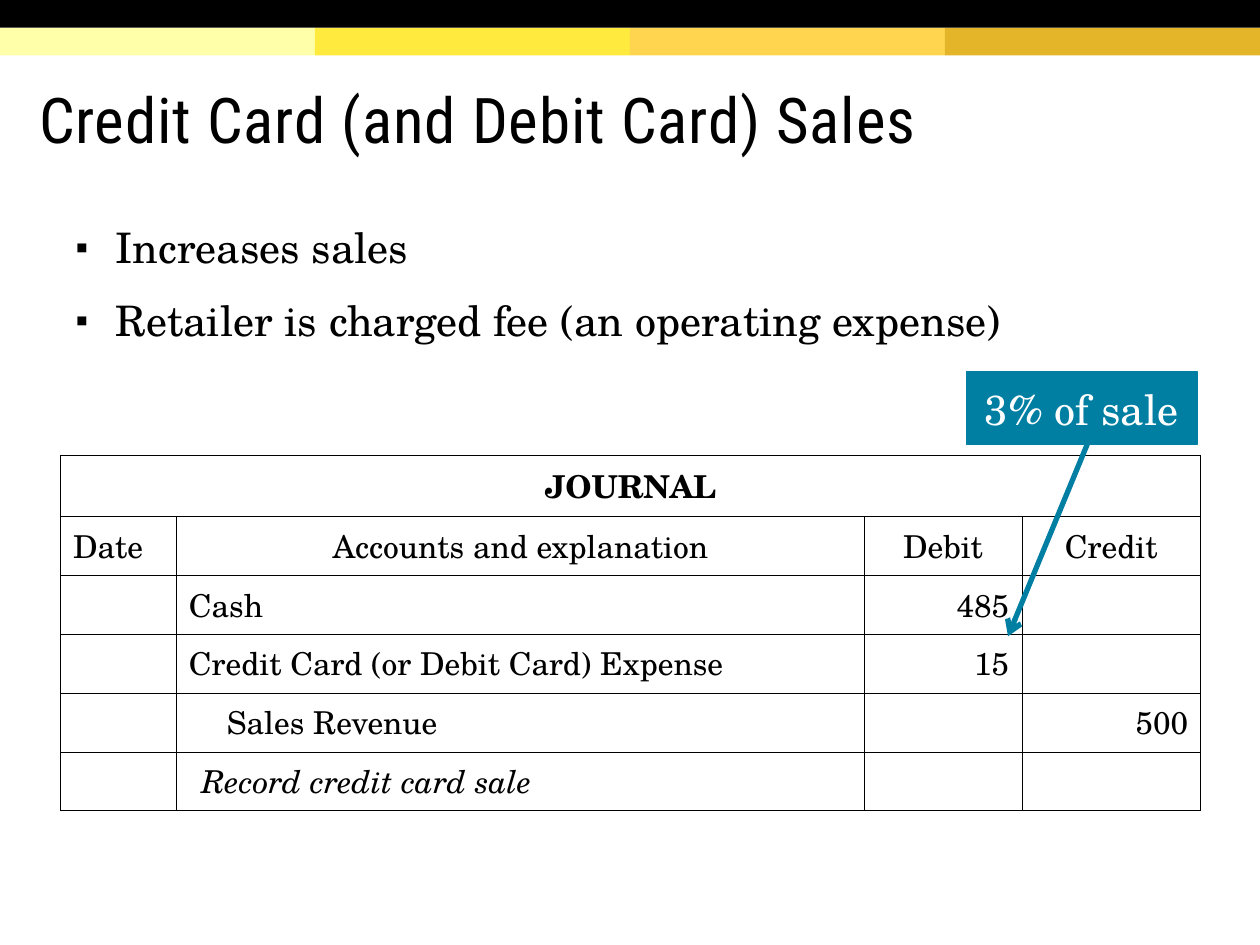
import pptx
import pptx.dml.color
import pptx.enum.shapes
import pptx.enum.text
import pptx.oxml
import pptx.oxml.ns
import pptx.util
from pptx.util import Inches, Pt

TITLE = "Credit Card (and Debit Card) Sales"
POINTS = ["Increases sales", "Retailer is charged fee (an operating expense)"]
CALLOUT = "3% of sale"
BAND_COLORS = ["FFFFAA", "FFEA3D", "FFD54F", "E4B429"]
JOURNAL_HEAD = "JOURNAL"
JOURNAL = [
    ["Date", "Accounts and explanation", "Debit", "Credit"],
    ["", "Cash", "485", ""],
    ["", "Credit Card (or Debit Card) Expense", "15", ""],
    ["", "Sales Revenue", "", "500"],
    ["", "Record credit card sale", "", ""],
]
ACCOUNT_INDENTS = {"Sales Revenue": 0.3, "Record credit card sale": 0.1}
EXPLANATION = "Record credit card sale"
COLUMN_WIDTHS = [0.92, 5.46, 1.25, 1.42]
ROW_HEIGHT = 0.45

HEAD_FONT, BODY_FONT = "Roboto Condensed", "TeX Gyre Schola"
BLACK, WHITE, TEAL = "000000", "FFFFFF", "007FA3"
ALIGN = pptx.enum.text.PP_ALIGN
MIDDLE = pptx.enum.text.MSO_ANCHOR.MIDDLE


def paint(color_format, color):
    color_format.rgb = pptx.dml.color.RGBColor.from_string(color)


def add_xml(parent, xml):
    """Append a drawing element, written without its namespace declaration."""
    tag, rest = xml.split(" ", 1)
    declared = f"{tag} {pptx.oxml.ns.nsdecls('a')} {rest}"
    parent.append(pptx.oxml.parse_xml(declared))


def add_text(paragraph, text, size, color=BLACK, font=BODY_FONT, bold=False, italic=False):
    run = paragraph.add_run()
    run.text = text
    run.font.name, run.font.size = font, Pt(size)
    run.font.bold, run.font.italic = bold, italic
    paint(run.font.color, color)
    return run


def place(shape, left, top, width, height):
    shape.left, shape.top = Inches(left), Inches(top)
    shape.width, shape.height = Inches(width), Inches(height)


def add_box(slide, left, top, width, height, color):
    box = slide.shapes.add_shape(
        pptx.enum.shapes.MSO_SHAPE.RECTANGLE,
        Inches(left), Inches(top), Inches(width), Inches(height))
    box.shadow.inherit = False
    box.fill.solid()
    paint(box.fill.fore_color, color)
    box.line.fill.background()
    return box


def add_bands(slide):
    width = 10 / len(BAND_COLORS)
    for index, color in enumerate(BAND_COLORS):
        add_box(slide, index * width, 0.22, width, 0.22, color)
    add_box(slide, 0, 0, 10, 0.22, BLACK)


def add_title(slide):
    title = slide.shapes.title
    place(title, 0.21, 0.47, 9.49, 0.98)
    frame = title.text_frame
    frame.vertical_anchor = MIDDLE
    frame.margin_top = Inches(0.1)
    frame.auto_size = pptx.enum.text.MSO_AUTO_SIZE.NONE
    paragraph = frame.paragraphs[0]
    paragraph.alignment, paragraph.line_spacing = ALIGN.LEFT, 0.85
    run = add_text(paragraph, TITLE, 36, font=HEAD_FONT)
    run.font._element.set("spc", "50")


def add_points(slide):
    body = slide.placeholders[1]
    place(body, 0.5, 1.75, 9, 1.11)
    frame = body.text_frame
    frame.auto_size = pptx.enum.text.MSO_AUTO_SIZE.NONE
    for index, point in enumerate(POINTS):
        paragraph = frame.add_paragraph() if index else frame.paragraphs[0]
        paragraph.line_spacing = 0.9
        paragraph.space_before = Pt(8 if index else 0)
        paragraph.space_after = Pt(8)
        properties = paragraph._p.get_or_add_pPr()
        properties.set("marL", str(Inches(0.32)))
        properties.set("indent", str(Inches(-0.32)))
        add_xml(properties, f'<a:buClr ><a:srgbClr val="{BLACK}"/></a:buClr>')
        add_xml(properties, '<a:buSzPct val="85000"/>')
        add_xml(properties, '<a:buChar char="▪"/>')
        add_text(paragraph, point, 24)


def add_callout(slide):
    callout = add_box(slide, 7.67, 2.95, 1.83, 0.58, TEAL)
    callout.line.width = Pt(0.75)
    paint_line(callout.line)
    callout.text_frame.word_wrap = True
    callout.text_frame.vertical_anchor = MIDDLE
    paragraph = callout.text_frame.paragraphs[0]
    paragraph.alignment = ALIGN.CENTER
    add_text(paragraph, CALLOUT, 24, WHITE)


def paint_line(line):
    line.fill.solid()
    paint(line.fill.fore_color, TEAL)


def add_arrow(slide):
    arrow = slide.shapes.add_connector(
        pptx.enum.shapes.MSO_CONNECTOR.STRAIGHT,
        Inches(8.64), Inches(3.5), Inches(8), Inches(5.05))
    arrow.line.width = Pt(3)
    paint_line(arrow.line)
    add_xml(arrow.line._get_or_add_ln(), '<a:tailEnd type="arrow"/>')
    add_xml(arrow._element.spPr, "<a:effectLst />")


def format_cell(cell):
    cell.fill.background()
    properties = cell._tc.get_or_add_tcPr()
    for position, side in enumerate(["lnL", "lnR", "lnT", "lnB"]):
        add_xml(properties, f'<a:{side} w="{Pt(0.25)}"><a:solidFill>'
                            f'<a:srgbClr val="{BLACK}"/></a:solidFill></a:{side}>')
        properties.insert(position, properties[-1])


def add_journal(slide):
    row_count = len(JOURNAL) + 1
    table = slide.shapes.add_table(
        row_count, len(COLUMN_WIDTHS), Inches(0.48), Inches(3.61),
        Inches(sum(COLUMN_WIDTHS)), Inches(ROW_HEIGHT * row_count)).table
    table.first_row = table.horz_banding = False
    for column, width in zip(table.columns, COLUMN_WIDTHS):
        column.width = Inches(width)
    for cell in table.iter_cells():
        format_cell(cell)
        cell.text_frame.paragraphs[0].font.size = Pt(18)

    head = table.cell(0, 0)
    head.merge(table.cell(0, len(COLUMN_WIDTHS) - 1))
    paragraph = head.text_frame.paragraphs[0]
    paragraph.alignment = ALIGN.CENTER
    add_text(paragraph, JOURNAL_HEAD, 18, bold=True)

    for row, entries in enumerate(JOURNAL, start=1):
        for column, entry in enumerate(entries):
            if not entry:
                continue
            paragraph = table.cell(row, column).text_frame.paragraphs[0]
            if row == 1 and column > 0:
                paragraph.alignment = ALIGN.CENTER
            elif column > 1:
                paragraph.alignment = ALIGN.RIGHT
            if entry in ACCOUNT_INDENTS:
                indent = Inches(ACCOUNT_INDENTS[entry])
                paragraph._p.get_or_add_pPr().set("marL", str(indent))
            add_text(paragraph, entry, 18, italic=entry == EXPLANATION)


def main():
    presentation = pptx.Presentation()
    presentation.slide_width, presentation.slide_height = Inches(10), Inches(7.5)
    slide = presentation.slides.add_slide(presentation.slide_layouts[1])
    add_bands(slide)
    add_title(slide)
    add_points(slide)
    add_callout(slide)
    add_journal(slide)
    add_arrow(slide)
    presentation.save("out.pptx")


if __name__ == "__main__":
    main()
